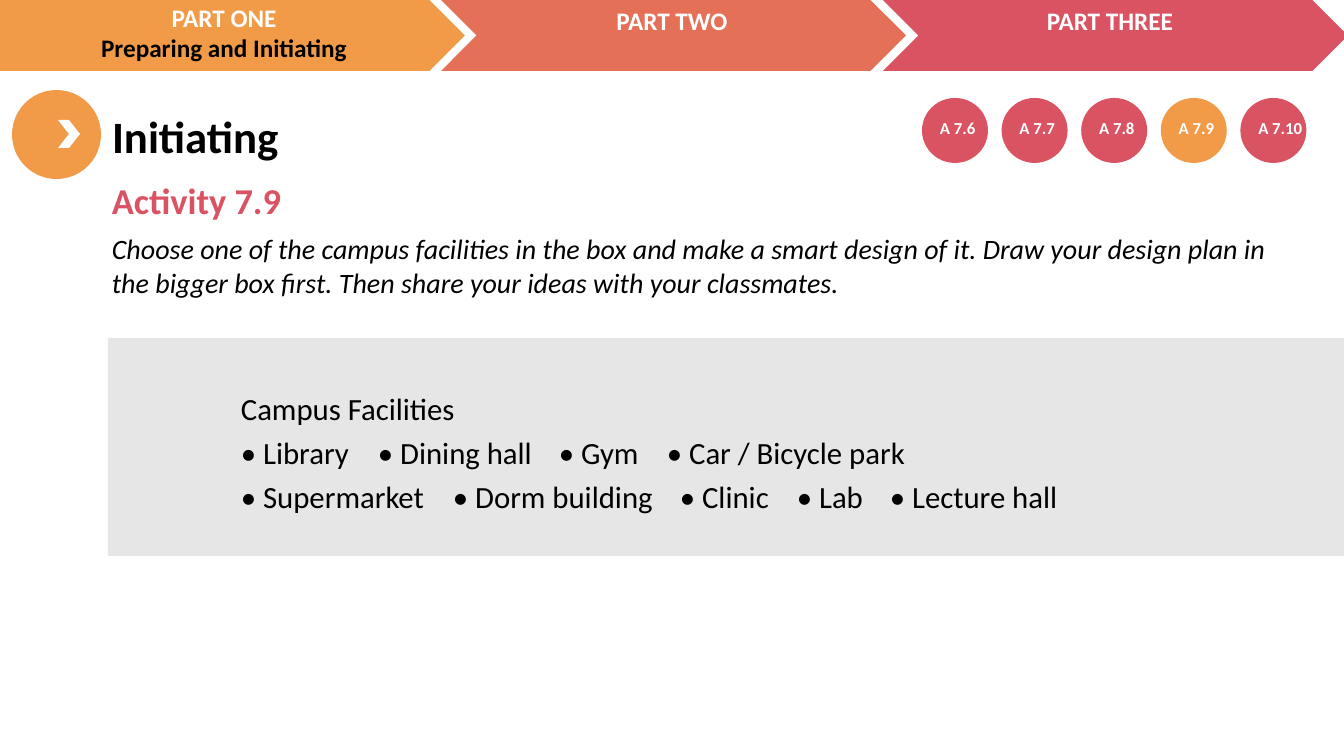
from pptx import Presentation
from pptx.dml.color import RGBColor
from pptx.enum.shapes import MSO_SHAPE as Shape
from pptx.enum.text import MSO_ANCHOR as Anchor, PP_ALIGN as Align
from pptx.oxml.ns import qn
from pptx.util import Emu, Pt
from lxml.etree import SubElement as Sub

# Content
GOLD, CORAL, ROSE = "F19B48", "E47057", "DA5362"
WHITE, BLACK, GREY = "FFFFFF", "000000", "E7E6E6"
TITLE = "Initiating"
HEAD = "Activity 7.9"
TASK = ("Choose one of the campus facilities in the box and make a smart design of it. "
        "Draw your design plan in the bigger box first. "
        "Then share your ideas with your classmates.")
# Chevron left, width, colour; label left, top, lines
PARTS = [
    (441, 465, CORAL, 442, 0, ["PART TWO"]),
    (883, 465, ROSE, 880, 0, ["PART THREE"]),
    (-61, 526, GOLD, -6, -3, ["PART ONE", "Preparing and Initiating"]),
]
STEPS = ["A 7.6", "A 7.7", "A 7.8", "A 7.9", "A 7.10"]
NOW = "A 7.9"
# Line items with the tab stops between them
PLACES = [
    (["Campus Facilities"], []),
    (["• Library", "• Dining hall", "• Gym", "• Car / Bicycle park"], [137, 318, 426]),
    (["• Supermarket", "• Dorm building", "• Clinic", "• Lab", "• Lecture hall"],
     [212, 439, 556, 649]),
]


def px(n):
    return Emu(round(n * 914400 / 100.8))


def rgb(code):
    return RGBColor.from_string(code)


prs = Presentation()
prs.slide_width, prs.slide_height = px(1344), px(756)
slide = prs.slides.add_slide(prs.slide_layouts[5])


def draw(kind, x, y, w, h, fill):
    item = slide.shapes.add_shape(kind, px(x), px(y), px(w), px(h))
    item.shadow.inherit = False
    item.fill.solid()
    item.fill.fore_color.rgb = rgb(fill)
    item.line.fill.background()


def style(para, size, ink, bold=False, slant=False):
    for run in para.runs:
        font = run.font
        font.name, font.size = "Calibri", Pt(size)
        font.bold, font.italic = bold, slant
        font.color.rgb = rgb(ink)


def write(x, y, w, h, lines, size, ink, bold=False, slant=False, align=Align.LEFT):
    frame = slide.shapes.add_textbox(px(x), px(y), px(w), px(h)).text_frame
    frame.word_wrap = True
    frame.text = "\n".join(lines)
    for para in frame.paragraphs:
        para.alignment = align
        style(para, size, ink, bold, slant)
    return frame


# Title and its marker
title = slide.shapes.title
title.left, title.top, title.width, title.height = px(102), px(103), px(489), px(65)
title.text_frame.text = TITLE
title.text_frame.vertical_anchor = Anchor.MIDDLE
title.text_frame.paragraphs[0].alignment = Align.LEFT
style(title.text_frame.paragraphs[0], 32, BLACK, bold=True)
draw(Shape.OVAL, 12, 90, 89, 89, GOLD)
draw(Shape.CHEVRON, 58, 120, 22, 28, WHITE)

# Progress bar
for left, wide, fill, *_ in PARTS:
    draw(Shape.CHEVRON, left, 0, wide, 71, fill)
for *_, left, top, lines in PARTS:
    frame = write(left, top, 460, 72, lines, 18, WHITE, bold=True, align=Align.CENTER)
    for para in frame.paragraphs[1:]:
        style(para, 18, BLACK, bold=True)

# Activity
write(102, 173, 1200, 54, [HEAD], 26, ROSE, bold=True)
write(102, 227, 1190, 78, [TASK], 20, BLACK, slant=True)

# Step circles
for i, step in enumerate(STEPS):
    left = 922 + 79.6 * i
    draw(Shape.OVAL, left, 98, 66, 65, GOLD if step == NOW else ROSE)
    write(left + 8, 113, 80, 30, [step], 12, WHITE, bold=True)

# Facilities box
draw(Shape.RECTANGLE, 108, 338, 1236, 218, GREY)
rows = ["\t".join(items) for items, _ in PLACES]
frame = write(231, 377, 883, 141, rows, 22, BLACK)
for para, (_, stops) in zip(frame.paragraphs, PLACES):
    para.line_spacing = 1.2
    if stops:
        tabs = Sub(para._p.get_or_add_pPr(), qn("a:tabLst"))
        for stop in stops:
            Sub(tabs, qn("a:tab"), pos=str(px(stop)), algn="l")

prs.save("out.pptx")
